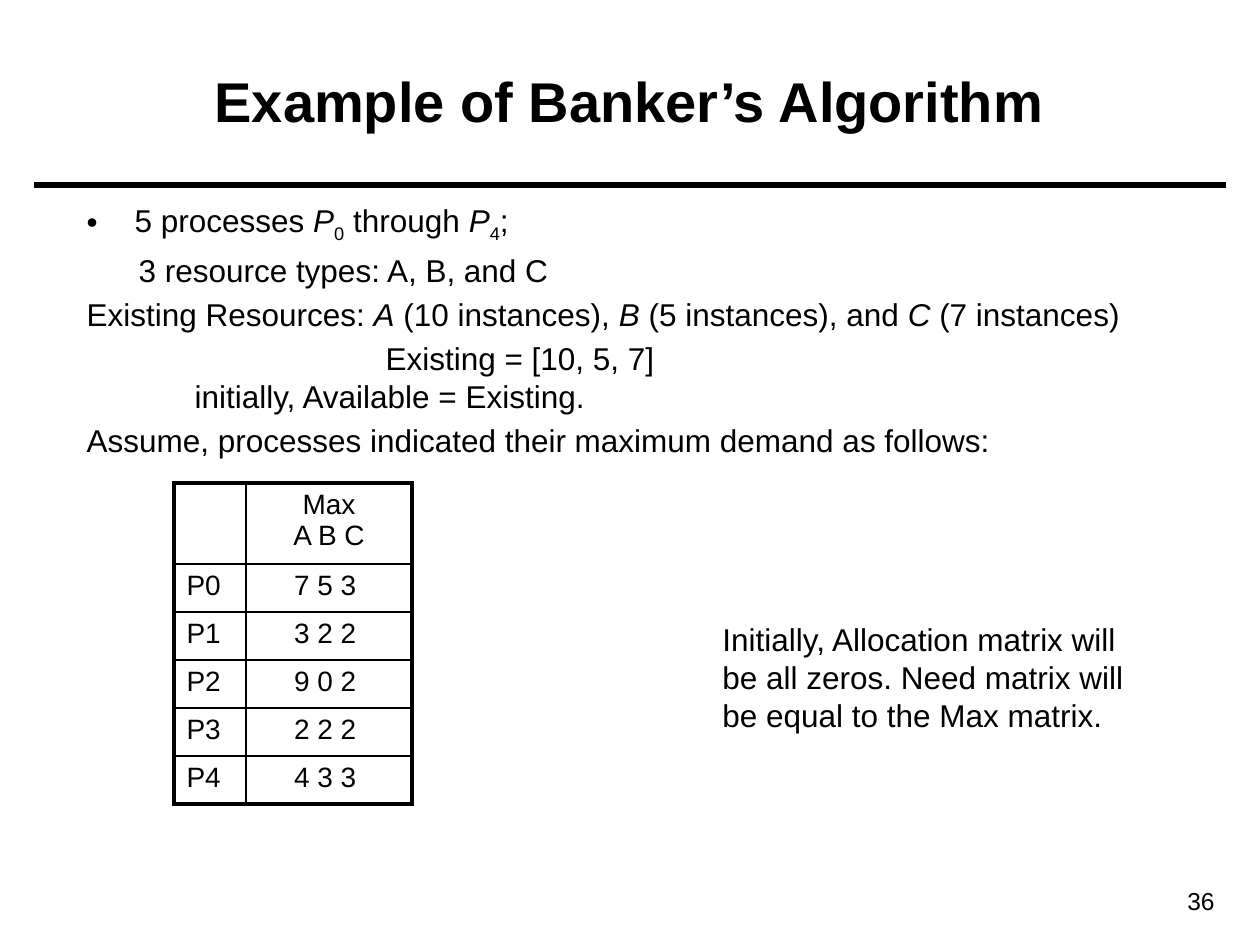
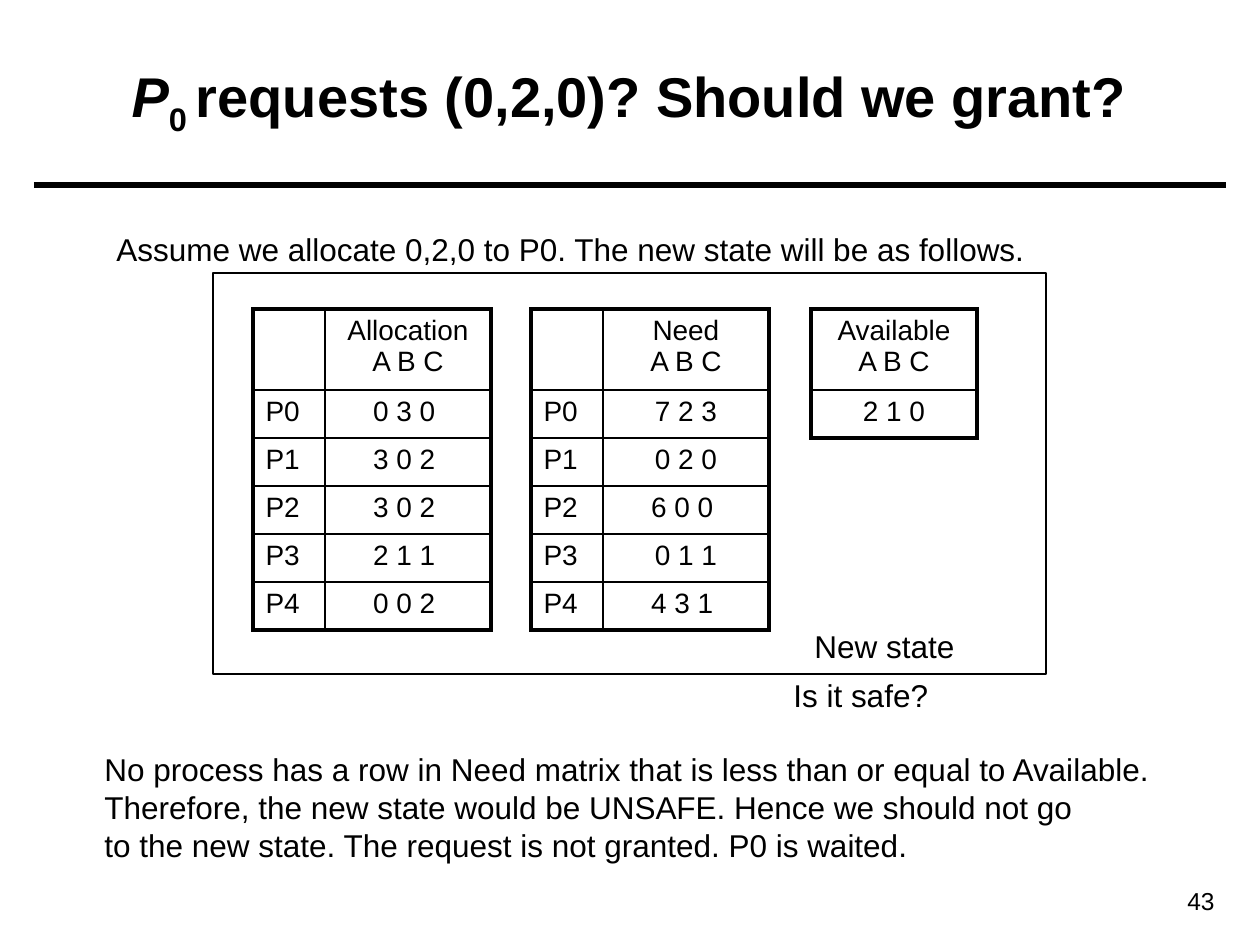
from lxml.etree import SubElement
from pptx import Presentation
from pptx.dml.color import RGBColor
from pptx.enum.shapes import MSO_CONNECTOR, MSO_SHAPE
from pptx.enum.text import MSO_ANCHOR, MSO_AUTO_SIZE, PP_ALIGN
from pptx.oxml import parse_xml
from pptx.oxml.ns import nsdecls, qn
from pptx.util import Emu, Pt

SCALE = 914400 / 126  # EMU in one px
INK = "000000"
FONT = "Arial"
TITLE_SIZE, TEXT_SIZE, CELL_SIZE, NUMBER_SIZE = 32, 18, 16, 14
HEAD_HEIGHT, ROW_HEIGHT = 81, 48
NAME_WIDTH, VALUE_WIDTH = 72, 166
OUTER, INNER = 2.25, 1
PROCESSES = ["P0", "P1", "P2", "P3", "P4"]


def px(*lengths):
    return [Emu(round(length * SCALE)) for length in lengths]


def color(value):
    return RGBColor.from_string(value)


class Deck:
    """Holds the style and the current page."""

    def __init__(self):
        self.deck = Presentation()
        self.deck.slide_width, self.deck.slide_height = px(1260, 945)
        self.page = None

    def start_page(self, layout, title, number):
        self.page = self.deck.slides.add_slide(self.deck.slide_layouts[layout])
        self.rule(34, 185, 1226, 185)
        heading = self.page.shapes.title
        self.place(heading, 44, 21, 1171, 158)
        frame = self.frame(heading, MSO_ANCHOR.MIDDLE)
        self.add_spans(frame.paragraphs[0], title, TITLE_SIZE, PP_ALIGN.CENTER, bold=True)
        self.text(1096, 880, 131, 43, [str(number)], NUMBER_SIZE, PP_ALIGN.RIGHT)

    def place(self, shape, *area):
        shape.left, shape.top, shape.width, shape.height = px(*area)

    def frame(self, shape, anchor=MSO_ANCHOR.TOP):
        frame = shape.text_frame
        frame.word_wrap = True
        frame.auto_size = MSO_AUTO_SIZE.NONE
        frame.vertical_anchor = anchor
        return frame

    def add_spans(self, para, spans, size, align=PP_ALIGN.LEFT, bold=False):
        """Spans are plain strings or (text, "italic" or "sub") pairs."""
        para.alignment = align
        for part in [spans] if isinstance(spans, str) else spans:
            words, style = (part, None) if isinstance(part, str) else part
            for index, line in enumerate(words.split("\n")):
                if index:
                    para.add_line_break()
                span = para.add_run()
                span.text = line
                span.font.name, span.font.size = FONT, Pt(size)
                span.font.bold, span.font.italic = bold, style == "italic"
                span.font.color.rgb = color(INK)
                if style == "sub":
                    span._r.get_or_add_rPr().set("baseline", "-25000")

    def text(self, left, top, width, height, lines, size=TEXT_SIZE, align=PP_ALIGN.LEFT):
        box = self.page.shapes.add_textbox(*px(left, top, width, height))
        frame = self.frame(box)
        for index, line in enumerate(lines):
            para = frame.add_paragraph() if index else frame.paragraphs[0]
            self.add_spans(para, line, size, align)

    def body(self, area, items):
        """Items are (spans, left margin, first-line indent, space before, bullet)."""
        holder = self.page.placeholders[1]
        self.place(holder, *area)
        frame = self.frame(holder)
        for index, (spans, margin, indent, space, bullet) in enumerate(items):
            para = frame.add_paragraph() if index else frame.paragraphs[0]
            props = para._p.get_or_add_pPr()
            props.set("marL", str(px(margin)[0]))
            props.set("indent", str(px(indent)[0]))
            if bullet:
                SubElement(props, qn("a:buFont")).set("typeface", FONT)
                SubElement(props, qn("a:buChar")).set("char", bullet)
            else:
                SubElement(props, qn("a:buNone"))
            para.space_before = Pt(space)
            self.add_spans(para, spans, TEXT_SIZE)

    def rule(self, *ends):
        line = self.page.shapes.add_connector(MSO_CONNECTOR.STRAIGHT, *px(*ends))
        line.line.color.rgb, line.line.width = color(INK), Pt(3)
        SubElement(line._element.spPr, qn("a:effectLst"))

    def outline(self, *area):
        box = self.page.shapes.add_shape(MSO_SHAPE.RECTANGLE, *px(*area))
        box.shadow.inherit = False
        box.fill.background()
        box.line.color.rgb, box.line.width = color(INK), Pt(0.75)

    def borders(self, cell, widths):
        props = cell._tc.get_or_add_tcPr()
        for index, (side, width) in enumerate(zip("LRTB", widths)):
            props.insert(index, parse_xml(
                f'<a:ln{side} {nsdecls("a")} w="{Pt(width)}"><a:solidFill>'
                f'<a:srgbClr val="{INK}"/></a:solidFill></a:ln{side}>'))

    def matrix(self, left, top, heading, values, names=None):
        """One heading row over the values, with process names if given."""
        rows = [[heading]] + [[value] for value in values]
        widths = [VALUE_WIDTH]
        if names:
            rows = [[name] + row for name, row in zip([""] + names, rows)]
            widths = [NAME_WIDTH, VALUE_WIDTH]
        heights = [HEAD_HEIGHT] + [ROW_HEIGHT] * len(values)
        table = self.page.shapes.add_table(
            len(rows), len(widths), *px(left, top, sum(widths), sum(heights))).table
        table.first_row = table.horz_banding = False
        for column, width in zip(table.columns, px(*widths)):
            column.width = width
        for row, height in zip(table.rows, px(*heights)):
            row.height = height
        last_row, last_column = len(rows) - 1, len(widths) - 1
        for r, row in enumerate(rows):
            for c, words in enumerate(row):
                cell = table.cell(r, c)
                cell.fill.background()
                edges = (c == 0, c == last_column, r == 0, r == last_row)
                self.borders(cell, [OUTER if edge else INNER for edge in edges])
                if words:
                    is_name = names and c == 0
                    align = PP_ALIGN.LEFT if is_name else PP_ALIGN.CENTER
                    self.add_spans(cell.text_frame.paragraphs[0], words, CELL_SIZE, align)


def build_example(deck):
    deck.start_page(1, "Example of Banker’s Algorithm", 36)
    # Problem statement
    deck.body((74, 195, 1091, 328), [
        (["5 processes ", ("P", "italic"), ("0", "sub"), " through ",
          ("P", "italic"), ("4", "sub"), ";"], 48, -48, 0, "•"),
        ("3 resource types: A, B, and C", 52, 0, 3.6, None),
        (["Existing Resources: ", ("A", "italic"), " (10 instances), ",
          ("B", "italic"), " (5 instances), and ", ("C", "italic"),
          " (7 instances)"], 0, 0, 3.6, None),
        ("Existing = [10, 5, 7]", 299, 0, 3.6, None),
        ("initially, Available = Existing.", 108, 0, 0, None),
        ("Assume, processes indicated their maximum demand as follows:",
         0, 0, 3.6, None),
    ])
    # Maximum demand
    deck.matrix(174, 483, "Max\nA B C",
                ["7 5 3 ", "3 2 2 ", "9 0 2 ", "2 2 2 ", "4 3 3 "], PROCESSES)
    deck.text(710, 614, 436, 126, [
        "Initially, Allocation matrix will",
        "be all zeros. Need matrix will",
        "be equal to the Max matrix.",
    ])


def build_request(deck):
    deck.start_page(5, [("P", "italic"), ("0 ", "sub"),
                        "requests (0,2,0)? Should we grant?"], 43)
    deck.text(104, 224, 950, 50,
              ["Assume we allocate 0,2,0 to P0. The new state will be as follows."])
    # New state
    deck.matrix(253, 309, "Allocation\nA B C",
                ["0 3 0 ", "3 0 2 ", "3 0 2 ", "2 1 1 ", "0 0 2 "], PROCESSES)
    deck.matrix(531, 309, "Need\nA B C",
                ["7 2 3", "0 2 0", "6 0 0 ", "0 1 1", "4 3 1 "], PROCESSES)
    deck.matrix(811, 309, "Available\nA B C", ["2 1 0"])
    deck.outline(213, 273, 833, 401)
    deck.text(802, 621, 175, 50, ["New state"])
    # Safety check
    deck.text(781, 670, 175, 50, ["Is it safe?"])
    deck.text(92, 744, 1090, 126, [
        "No process has a row in Need matrix that is less than or equal to Available.",
        "Therefore, the new state would be UNSAFE. Hence we should not go",
        "to the new state. The request is not granted. P0 is waited.",
    ])


def main():
    deck = Deck()
    build_example(deck)
    build_request(deck)
    deck.deck.save("out.pptx")


if __name__ == "__main__":
    main()
